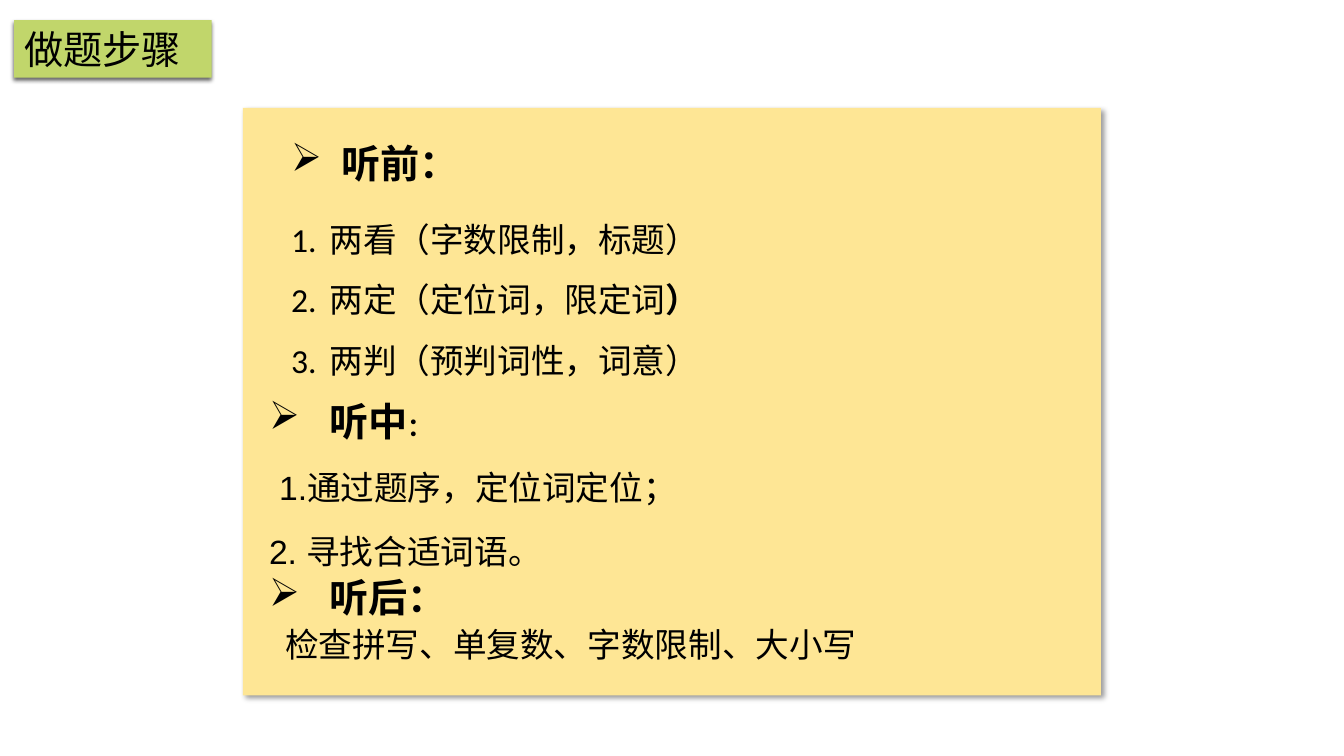
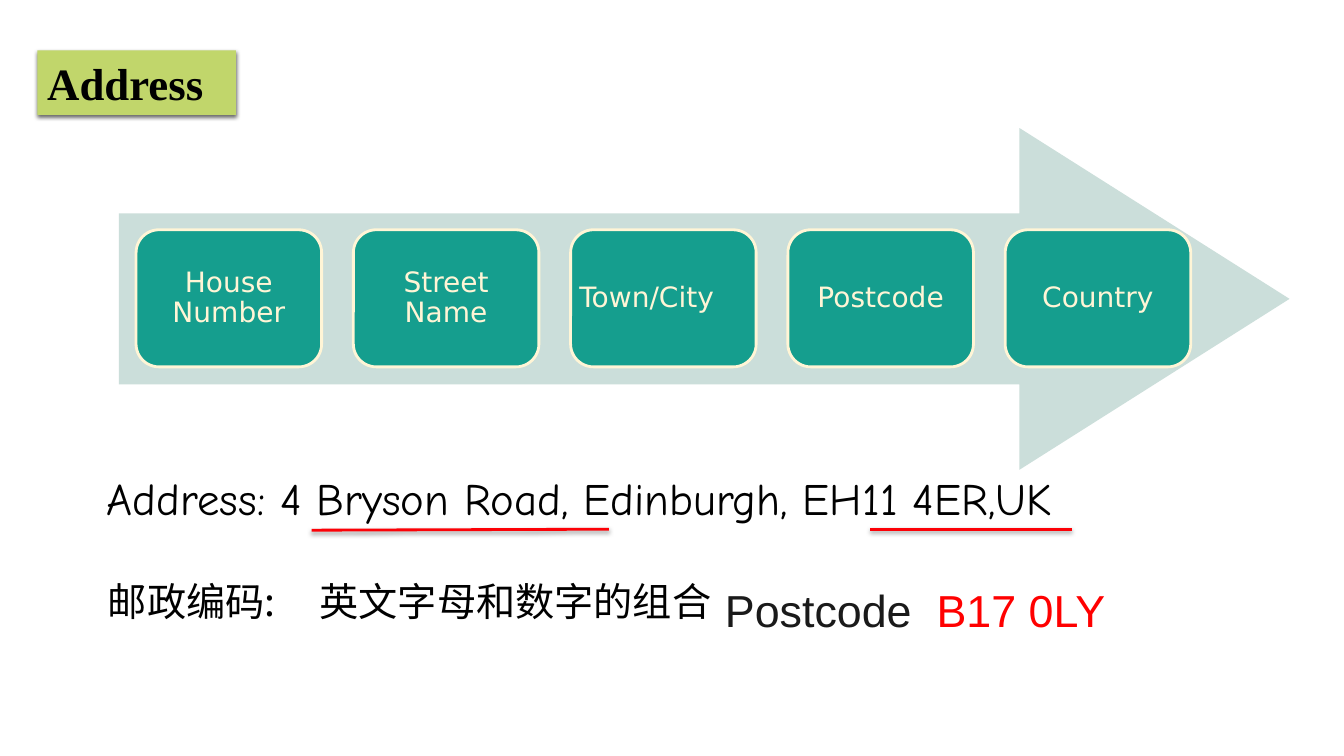
from lxml import etree
from pptx import Presentation
from pptx import util as u
from pptx.dml.color import RGBColor
from pptx.enum import shapes, text
from pptx.oxml import ns

# Shared look
PX = 9144  # 100 px to the inch
BLACK = RGBColor(0, 0, 0)
INK = RGBColor(0x1A, 0x1A, 0x1A)
RED = RGBColor(0xFF, 0, 0)
RULE = RGBColor(0xFC, 0x01, 0x07)
NOTE = RGBColor(0xFE, 0xE6, 0x95)
LIME = RGBColor(0xC1, 0xD6, 0x6B)
MIST = RGBColor(0xCB, 0xDE, 0xDA)
TEAL = RGBColor(0x15, 0x9E, 0x8E)
CREAM = RGBColor(0xFF, 0xF5, 0xD6)
CJK = "Noto Sans CJK SC"
LEFT, MID = text.PP_ALIGN.LEFT, text.MSO_ANCHOR.MIDDLE
TOP, CENTER = text.MSO_ANCHOR.TOP, text.PP_ALIGN.CENTER
KIND = shapes.MSO_SHAPE

# Shadows: opacity %, blur pt, distance pt, angle
SOFT, DROP, THIN = (40, 4, 3, 45), (60, 3, 2, 90), (38, 3, 1.6, 90)

# Slide 1: each paragraph is (runs, style); a run is (text, size, bold)
STEPS = [
    ((279, 133, 814, 87), "Arial", [
        ([("听前：", 28, True)], dict(ind=50, bullet="➢")),
    ]),
    ((279, 192, 864, 186), "Calibri", [
        ([("两看（字数限制，标题）", 24, False)], dict(ind=38, num=True, ls=1.5)),
        ([("两定（定位词，限定词", 24, False), ("）", 24, True)],
         dict(ind=38, num=True, ls=1.5)),
        ([("两判（预判词性，词意）", 24, False)], dict(ind=38, num=True, ls=1.5)),
    ]),
    ((257, 389, 660, 326), "Arial", [
        ([("听中", 28, True), ("：", 18, True)], dict(ind=60, bullet="➢")),
        ([("1.通过题序，定位词定位；", 24, False)], dict(left=10, ls=1.57)),
        ([("2. 寻找合适词语。", 24, False)], dict(ls=1.57)),
        ([("听后：", 28, True)], dict(ind=60, bullet="➢", before=2)),
        ([("检查拼写、单复数、字数限制、大小写", 24, False)], dict(left=16, before=2)),
    ]),
]

# Slide 2
PARTS = [("House Number", CENTER), ("Street Name", CENTER), ("Town/City", LEFT),
         ("Postcode", CENTER), ("Country", CENTER)]
ROW = (135, 228, 1046, 136)
CELL = 184
RULES = [(309, 526, 604, 525), (863, 525, 1063, 525)]
TAB = 210
# box, font, anchor, runs of (text, size, colour)
LINES = [
    ((101, 462, 1114, 64), "Comic Neue", MID,
     [("Address: 4 Bryson Road, Edinburgh, EH11 4ER,UK", 32, BLACK)]),
    ((714, 573, 620, 64), "Arial", TOP,
     [("Postcode\t", 32, INK), ("B17 0LY", 32, RED)]),
    ((102, 568, 649, 57), CJK, TOP,
     [("邮政编码:\t英文字母和数字的组合", 28, BLACK)]),
]


def px(*vals):
    return [u.Emu(round(v * PX)) for v in vals]


def sub(node, tag, **atts):
    return etree.SubElement(node, ns.qn(tag), {k: str(v) for k, v in atts.items()})


def shade(item, look):
    """Give a shape or line an outer shadow."""
    alpha, blur, dist, angle = look
    props = item._element.spPr
    fx = props.find(ns.qn("a:effectLst"))
    if fx is None:
        fx = sub(props, "a:effectLst")
    cast = sub(fx, "a:outerShdw", blurRad=int(blur * 12700), dist=int(dist * 12700),
               dir=angle * 60000, algn="ctr", rotWithShape=0)
    tone = sub(cast, "a:srgbClr", val="000000")
    sub(tone, "a:alpha", val=alpha * 1000)


def style(run, face, size, bold, tone):
    font = run.font
    font.name, font.size, font.bold = face, u.Pt(size), bold
    font.color.rgb = tone
    sub(run._r.get_or_add_rPr(), "a:ea", typeface=face)


def frame(item, anchor=TOP, side=10, edge=5):
    tf = item.text_frame
    tf.word_wrap, tf.vertical_anchor = True, anchor
    tf.margin_left = tf.margin_right = px(side)[0]
    tf.margin_top = tf.margin_bottom = px(edge)[0]
    return tf


def shape(page, kind, box, fill, look=None):
    item = page.shapes.add_shape(kind, *px(*box))
    item.shadow.inherit = False
    item.fill.solid()
    item.fill.fore_color.rgb = fill
    item.line.fill.background()
    if look:
        shade(item, look)
    return item


def tag(page, box, label, face, size, bold):
    """Green title tag used on every slide."""
    item = shape(page, KIND.RECTANGLE, box, LIME, DROP)
    para = frame(item, MID).paragraphs[0]
    para.text, para.alignment = label, LEFT
    style(para.runs[0], face, size, bold, BLACK)


def layout(para, ind=0, left=0, bullet=None, num=False, ls=None, before=0):
    props = para._p.get_or_add_pPr()
    if ind or left:
        props.set("marL", str((ind or left) * PX))
        props.set("indent", str(-ind * PX))
    if num:
        sub(props, "a:buAutoNum", type="arabicPeriod")
    elif bullet:
        sub(props, "a:buChar", char=bullet)
    if ls:
        para.line_spacing = ls
    if before:
        para.space_before = u.Pt(before)


def steps(page):
    shape(page, KIND.RECTANGLE, (241, 107, 851, 583), NOTE, SOFT)
    for box, face, paras in STEPS:
        tf = frame(page.shapes.add_textbox(*px(*box)))
        for i, (runs, look) in enumerate(paras):
            para = tf.add_paragraph() if i else tf.paragraphs[0]
            layout(para, **look)
            for words, size, bold in runs:
                run = para.add_run()
                run.text = words
                style(run, face, size, bold, BLACK)
    tag(page, (14, 20, 196, 57), "做题步骤", CJK, 28, False)


def address(page):
    # Arrow with its row of cells
    arrow = shape(page, KIND.RIGHT_ARROW, (118, 127, 1161, 339), MIST)
    arrow.adjustments[1] = 0.79
    x, y, wide, high = ROW
    step = (wide - CELL) / (len(PARTS) - 1)
    for i, (label, align) in enumerate(PARTS):
        cell = shape(page, KIND.ROUNDED_RECTANGLE, (x + i * step, y, CELL, high), TEAL)
        cell.line.color.rgb, cell.line.width = CREAM, u.Pt(2)
        para = frame(cell, MID, 2, 2).paragraphs[0]
        para.text, para.alignment, para.line_spacing = label, align, 0.9
        style(para.runs[0], "DejaVu Sans", 20, False, CREAM)

    # Example lines
    for box, face, anchor, runs in LINES:
        tf = frame(page.shapes.add_textbox(*px(*box)), anchor, 5)
        para = tf.paragraphs[0]
        if any("\t" in words for words, _, _ in runs):
            tabs = sub(para._p.get_or_add_pPr(), "a:tabLst")
            sub(tabs, "a:tab", pos=TAB * PX, algn="l")
        for words, size, tone in runs:
            run = para.add_run()
            run.text = words
            style(run, face, size, False, tone)

    # Red underlines
    for ends in RULES:
        rule = page.shapes.add_connector(shapes.MSO_CONNECTOR.STRAIGHT, *px(*ends))
        rule.line.color.rgb, rule.line.width = RULE, u.Pt(2)
        shade(rule, THIN)
    tag(page, (37, 50, 197, 64), "Address", "Times New Roman", 32, True)


def main():
    deck = Presentation()
    deck.slide_width, deck.slide_height = px(1333, 750)
    for draw in (steps, address):
        draw(deck.slides.add_slide(deck.slide_layouts[6]))
    deck.save("out.pptx")


if __name__ == "__main__":
    main()
